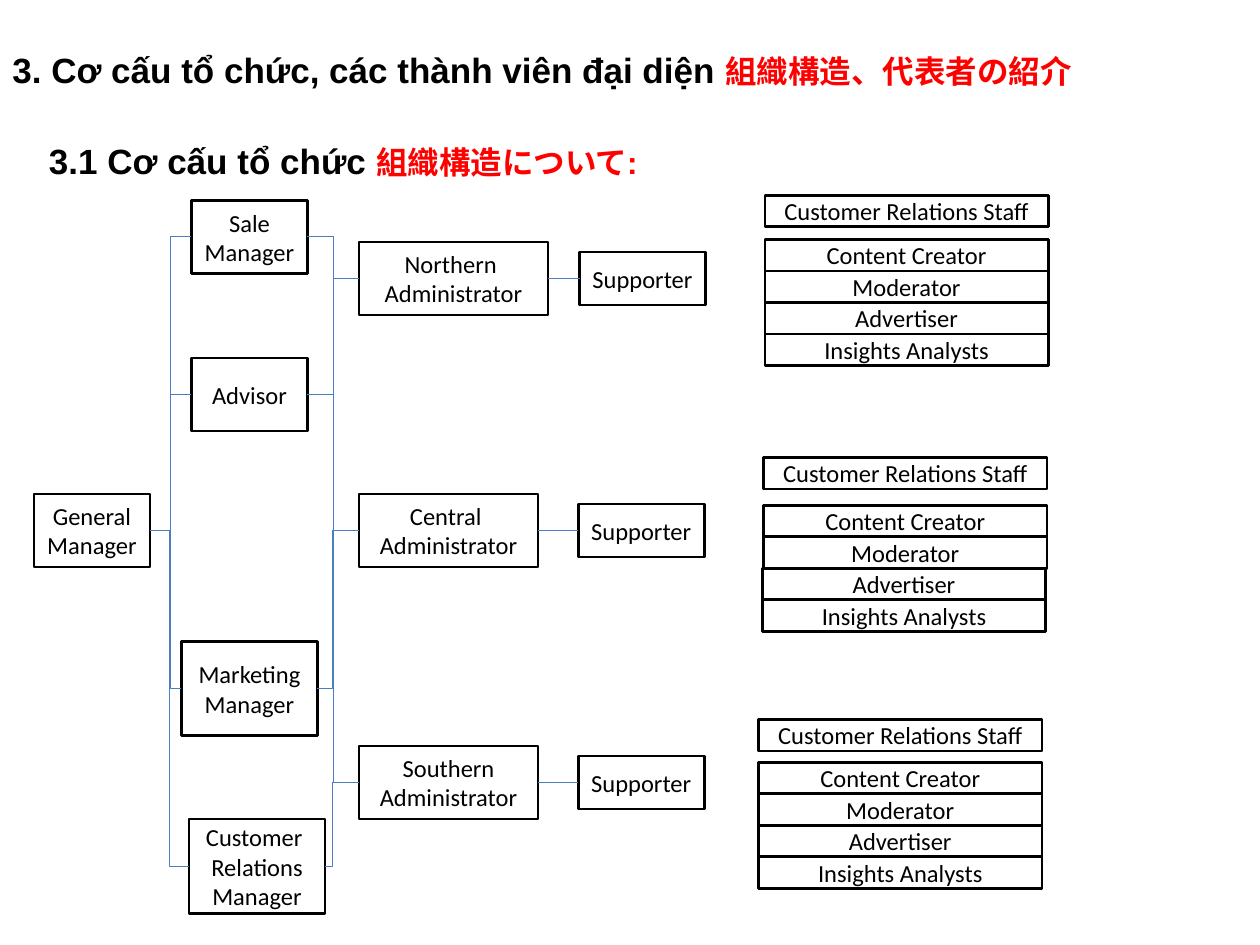
from lxml import etree
from pptx import Presentation
from pptx import util as u
from pptx.dml.color import RGBColor
from pptx.enum import shapes, text
from pptx.oxml.ns import qn

PX = 9144  # 100 px to the inch
BLACK = RGBColor(0x00, 0x00, 0x00)
RED = RGBColor(0xFF, 0x00, 0x00)
BLUE = RGBColor(0x4B, 0x7E, 0xBC)
LEFT, RIGHT = 1, 3  # connection sites of a rectangle

prs = Presentation()
prs.slide_width, prs.slide_height = 1000 * PX, 750 * PX
s = prs.slides.add_slide(prs.slide_layouts[6])


def add_box(x, y, w, h, *lines):
    sp = s.shapes.add_shape(shapes.MSO_SHAPE.RECTANGLE, x * PX, y * PX, w * PX, h * PX)
    sp.shadow.inherit = False
    sp.fill.background()
    sp.line.color.rgb = BLACK
    sp.line.width = u.Pt(1.5)
    tf = sp.text_frame
    tf.word_wrap = True
    tf.vertical_anchor = text.MSO_ANCHOR.MIDDLE
    for i, line in enumerate(lines):
        p = tf.add_paragraph() if i else tf.paragraphs[0]
        p.alignment = text.PP_ALIGN.CENTER
        r = p.add_run()
        r.text = line
        r.font.name, r.font.size, r.font.color.rgb = "Calibri", u.Pt(14), BLACK
    return sp


def link(start, end, bend=None):
    """Join two boxes right to left; bend is the elbow's place in percent, None is straight."""
    kind = shapes.MSO_CONNECTOR.STRAIGHT if bend is None else shapes.MSO_CONNECTOR.ELBOW
    c = s.shapes.add_connector(kind, 0, 0, 0, 0)
    c.begin_connect(start, RIGHT)
    c.end_connect(end, LEFT)
    c.line.color.rgb = BLUE
    c.line.width = u.Pt(0.75)
    props = c._element.spPr
    etree.SubElement(props, qn("a:effectLst"))
    if bend is not None:
        guides = props.find(qn("a:prstGeom")).get_or_add_avLst()
        etree.SubElement(guides, qn("a:gd"), name="adj1", fmla=f"val {bend * 1000}")


# Managers
general = add_box(27, 392, 92, 58, "General Manager")
sale = add_box(152, 159, 92, 58, "Sale Manager")
advisor = add_box(152, 284, 92, 58, "Advisor")
marketing = add_box(144, 509, 108, 75, "Marketing Manager")
relations = add_box(150, 650, 108, 75, "Customer ", "Relations Manager")

# Regional administrators, each with a supporter
northern = add_box(285, 192, 150, 58, "Northern ", "Administrator")
central = add_box(285, 392, 142, 58, "Central ", "Administrator")
southern = add_box(285, 592, 142, 58, "Southern", "Administrator")
for admin, x, y in ((northern, 460, 200), (central, 459, 400), (southern, 459, 600)):
    link(admin, add_box(x, y, 100, 42, "Supporter"))

# Staff lists: left edge of the upper and lower rows, top of the head and of the roles
ROLES = "Content Creator", "Moderator", "Advertiser", "Insights Analysts"
for upper_x, lower_x, head_y, roles_y in (
    (607, 607, 155, 190),
    (606, 605, 363, 401),
    (602, 602, 571, 605),
):
    add_box(upper_x, head_y, 225, 25, "Customer Relations Staff")
    for i, role in enumerate(ROLES):
        add_box(upper_x if i < 2 else lower_x, roles_y + 25 * i, 225, 25, role)

# Elbow links
for start, end, bend in (
    (general, relations, 50),
    (general, advisor, 50),
    (general, marketing, 65),
    (general, sale, 50),
    (sale, northern, 50),
    (sale, central, 50),
    (sale, southern, 50),
    (advisor, central, 50),
    (marketing, central, 36),
    (relations, southern, 22),
):
    link(start, end, bend)

# Headings
for x, y, w, h, vietnamese, japanese in (
    (0, 17, 1000, 75, "3. Cơ cấu tổ chức, các thành viên đại diện ", "組織構造、代表者の紹介"),
    (29, 89, 908, 111, "3.1 Cơ cấu tổ chức ", "組織構造について:"),
):
    tf = s.shapes.add_textbox(x * PX, y * PX, w * PX, h * PX).text_frame
    tf.word_wrap = True
    p = tf.paragraphs[0]
    p.line_spacing = 1.5
    for words, size, color in ((vietnamese, 20, BLACK), (japanese, 18, RED)):
        r = p.add_run()
        r.text = words
        r.font.name, r.font.size, r.font.bold = "Arial", u.Pt(size), True
        r.font.color.rgb = color

prs.save("out.pptx")
